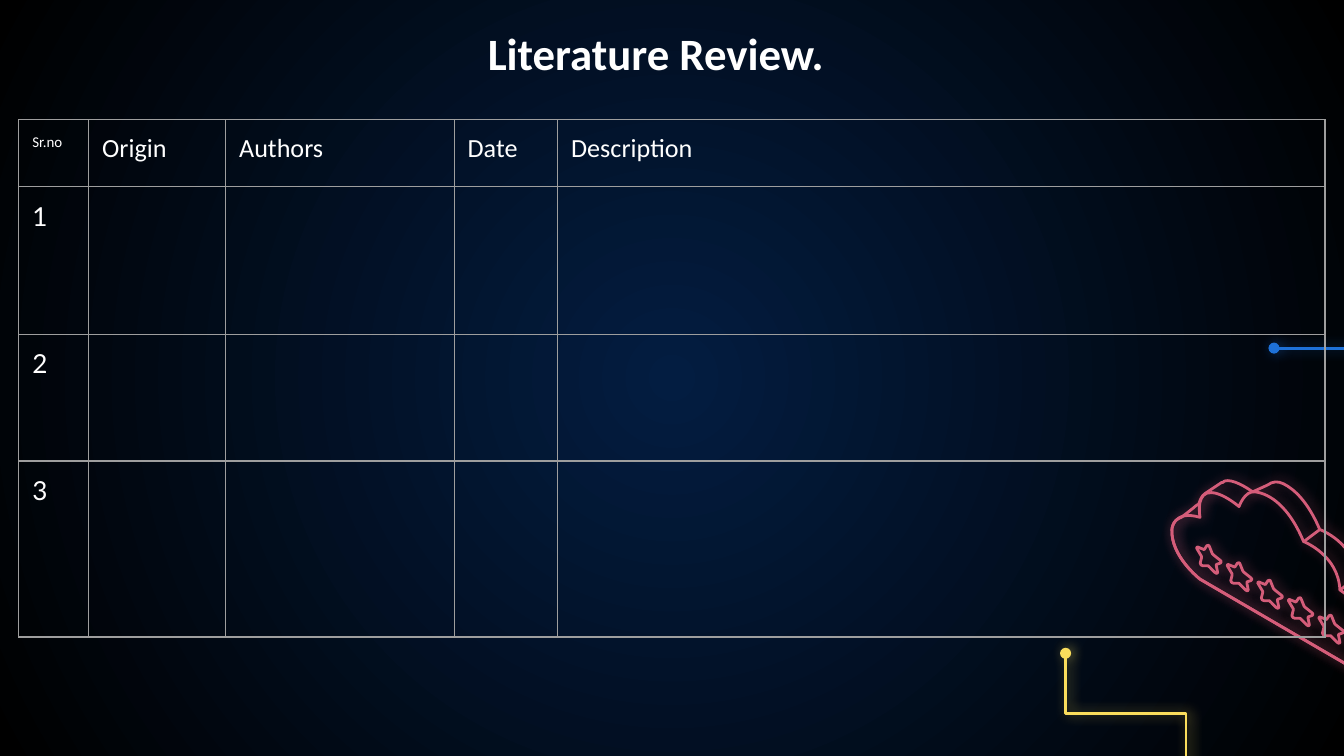
from lxml import etree
from pptx import Presentation, util as u
from pptx.dml.color import RGBColor
from pptx.enum import shapes, text
from pptx.oxml import parse_xml
from pptx.oxml.ns import nsdecls, qn

WHITE = RGBColor(0xFF, 0xFF, 0xFF)
NAVY = RGBColor(0x03, 0x1D, 0x41)
BLACK = RGBColor(0x00, 0x00, 0x00)
BLUE = RGBColor(0x1E, 0x71, 0xD8)
PINK = RGBColor(0xD5, 0x5D, 0x7A)
YELLOW = RGBColor(0xFA, 0xDD, 0x5C)
GREY = RGBColor(0x9E, 0x9E, 0x9E)

TITLE = "Literature Review."
HEADERS = ["Sr.no", "Origin", "Authors", "Date", "Description"]
NUMBERS = ["1", "2", "3"]
COLUMN_WIDTHS = [37.44, 73.44, 122.4, 55.44, 411.12]
ROW_HEIGHTS = [36, 79.2, 67.68, 94.32]
TABLE_LEFT, TABLE_TOP = 10.08, 64.08

TITLE_FONT = {"size": u.Pt(24), "name": "Calibri", "bold": True}
SERIAL_FONT = {"size": u.Pt(8), "name": "Calibri"}
HEADER_FONT = {"size": u.Pt(14), "name": "Calibri"}
NUMBER_FONT = {"size": u.Pt(14), "name": "Lato"}

OUTLINE_UNIT = 0.72
STAR = """M 8 1 L 6 4 C 6 4 6 4 6 4 L 1 2 C 0 2 0 3 1 4 L 4 9 C 4 9 4 9 4 10
L 3 14 C 3 15 4 16 5 16 L 9 16 C 9 16 10 16 10 17 L 14 21 C 15 22 16 22 16 21
L 15 16 C 15 16 15 15 15 15 L 18 14 C 19 14 19 12 18 12 L 13 8
C 13 8 13 8 12 7 L 10 2 C 10 1 9 0 8 1 Z"""
STAR_COUNT = 5
FIRST_STAR = (706.32, 329.04)
STAR_STEP = (-16.38, -9.36)
CLOUD_OUTLINES = [
    """M 1003 495 L 893 431 C 893 431 871 414 872 394 C 872 394 873 379 893 385
    C 893 385 890 370 898 367 C 907 364 922 377 922 377 C 922 377 926 365 934 366
    C 941 367 957 372 970 403 C 970 403 996 413 997 439
    C 997 439 1024 456 1023 479 C 1023 479 1023 504 1003 495 Z""",
    """M 879 385 L 888 378 C 889 377 890 376 892 375 C 893 372 894 369 897 367
    L 909 359 L 910 359 C 910 358 910 358 911 358 C 917 356 928 363 932 366
    L 943 361 C 947 358 951 358 955 360 C 963 364 973 373 982 394
    C 982 394 1009 404 1009 430 C 1009 430 1036 447 1035 470
    C 1035 470 1035 480 1031 485 C 1030 486 1029 487 1027 488 L 1017 495
    C 1014 497 1010 498 1003 495 L 893 431 C 893 431 871 414 872 394
    C 872 394 872 387 879 385 Z""",
    "M 970 403 L 982 394",
    "M 997 439 L 1009 430",
]


def style_font(paragraph, values):
    for name, value in values.items():
        setattr(paragraph.font, name, value)
    paragraph.font.color.rgb = WHITE


def set_insets(holder, prefix="margin_"):
    for side in ("left", "right", "top", "bottom"):
        setattr(holder, prefix + side, u.Pt(7.2))


def set_background(slide):
    slide.background.fill.solid()
    properties = slide.background.fill._xPr
    properties.remove(properties.find(qn("a:solidFill")))
    properties.insert(0, parse_xml(
        f'<a:gradFill {nsdecls("a")}><a:gsLst>'
        f'<a:gs pos="0"><a:srgbClr val="{NAVY}"/></a:gs>'
        f'<a:gs pos="100000"><a:srgbClr val="{BLACK}"/></a:gs></a:gsLst>'
        '<a:path path="circle"><a:fillToRect l="50000" t="50000" r="50000" b="50000"/>'
        '</a:path></a:gradFill>'))


def draw_neon(shape, color):
    shape.line.color.rgb = color
    shape.line.width = u.Pt(1.5)
    shape._element.spPr.append(parse_xml(
        f'<a:effectLst {nsdecls("a")}><a:outerShdw blurRad="{u.Pt(6.8)}" '
        f'dist="{u.Pt(1.5)}" dir="0" algn="bl" rotWithShape="0">'
        f'<a:srgbClr val="{color}"><a:alpha val="50000"/></a:srgbClr>'
        '</a:outerShdw></a:effectLst>'))


def add_circuit(slide, kind, begin, end, color):
    points = [u.Pt(value) for value in (*begin, *end)]
    connector = slide.shapes.add_connector(kind, *points)
    draw_neon(connector, color)
    for name in ("a:headEnd", "a:tailEnd"):
        etree.SubElement(connector.line._ln, qn(name), type="oval")
    return connector


def read_outline(outline):
    commands = []
    for token in outline.split():
        if token.isalpha():
            commands.append((token, []))
        else:
            commands[-1][1].append(int(token))
    return [(kind, list(zip(values[::2], values[1::2]))) for kind, values in commands]


def add_outline(group, outline, origin=(0, 0)):
    commands = read_outline(outline)
    points = [point for kind, group_points in commands for point in group_points]
    builder = group.shapes.build_freeform(*points[0], scale=u.Pt(OUTLINE_UNIT))
    builder.add_line_segments(points[1:], close=commands[-1][0] == "Z")
    shape = builder.convert_to_shape(*[u.Pt(value) for value in origin])
    segments = iter(list(shape._element.iter(qn("a:lnTo"))))
    for kind, group_points in commands:
        if kind == "L":
            next(segments)
        elif kind == "C":
            parts = [next(segments) for point in group_points]
            curve = etree.Element(qn("a:cubicBezTo"))
            parts[0].addprevious(curve)
            for part in parts:
                curve.append(part[0])
                part.getparent().remove(part)
    shape.fill.background()
    draw_neon(shape, PINK)


def add_title(slide):
    box = slide.shapes.add_textbox(u.Pt(47.5), u.Pt(9.4), u.Pt(607.7), u.Pt(37.4))
    frame = box.text_frame
    frame.word_wrap = True
    frame.vertical_anchor = text.MSO_ANCHOR.MIDDLE
    set_insets(frame)
    paragraph = frame.paragraphs[0]
    paragraph.text = TITLE
    paragraph.alignment = text.PP_ALIGN.CENTER
    style_font(paragraph, TITLE_FONT)


def format_cell(cell):
    set_insets(cell)
    properties = cell._tc.get_or_add_tcPr()
    for side in "LRTB":
        properties.append(parse_xml(
            f'<a:ln{side} {nsdecls("a")} w="{u.Pt(0.75)}"><a:solidFill>'
            f'<a:srgbClr val="{GREY}"/></a:solidFill></a:ln{side}>'))
    cell.fill.background()


def add_review_table(slide):
    table = slide.shapes.add_table(
        len(ROW_HEIGHTS), len(COLUMN_WIDTHS), u.Pt(TABLE_LEFT), u.Pt(TABLE_TOP),
        u.Pt(sum(COLUMN_WIDTHS)), u.Pt(sum(ROW_HEIGHTS))).table
    table.first_row = table.horz_banding = False
    for column, width in zip(table.columns, COLUMN_WIDTHS):
        column.width = u.Pt(width)
    for row, height in zip(table.rows, ROW_HEIGHTS):
        row.height = u.Pt(height)
    for cell in table.iter_cells():
        format_cell(cell)
    entries = [(0, i, label, HEADER_FONT if i else SERIAL_FONT)
               for i, label in enumerate(HEADERS)]
    entries += [(i, 0, label, NUMBER_FONT) for i, label in enumerate(NUMBERS, 1)]
    for row, column, label, values in entries:
        paragraph = table.cell(row, column).text_frame.paragraphs[0]
        paragraph.text = label
        style_font(paragraph, values)


def main():
    presentation = Presentation()
    presentation.slide_width, presentation.slide_height = u.Pt(720), u.Pt(405)
    slide = presentation.slides.add_slide(presentation.slide_layouts[6])
    set_background(slide)
    add_circuit(slide, shapes.MSO_CONNECTOR.STRAIGHT, (682.5, 186.5), (730.8, 186.5), BLUE)
    add_title(slide)
    cloud = slide.shapes.add_group_shape()
    for i in range(STAR_COUNT):
        add_outline(cloud, STAR, [start + i * step for start, step in zip(FIRST_STAR, STAR_STEP)])
    for outline in CLOUD_OUTLINES:
        add_outline(cloud, outline)
    bend = add_circuit(slide, shapes.MSO_CONNECTOR.ELBOW, (570.8, 350), (635.3, 414.5), YELLOW)
    transform = bend._element.spPr.find(qn("a:xfrm"))
    transform.set("rot", str(270 * 60000))
    transform.set("flipH", "1")
    add_review_table(slide)
    presentation.save("out.pptx")


if __name__ == "__main__":
    main()
